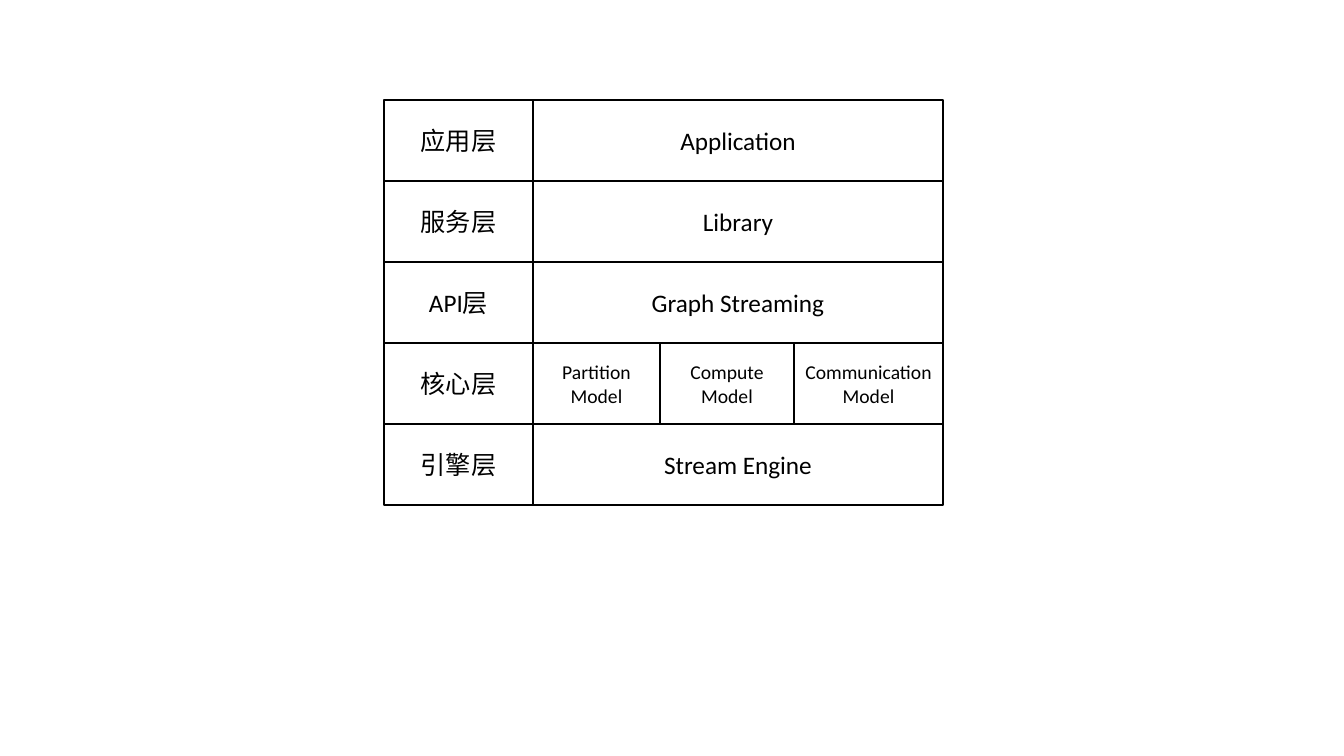
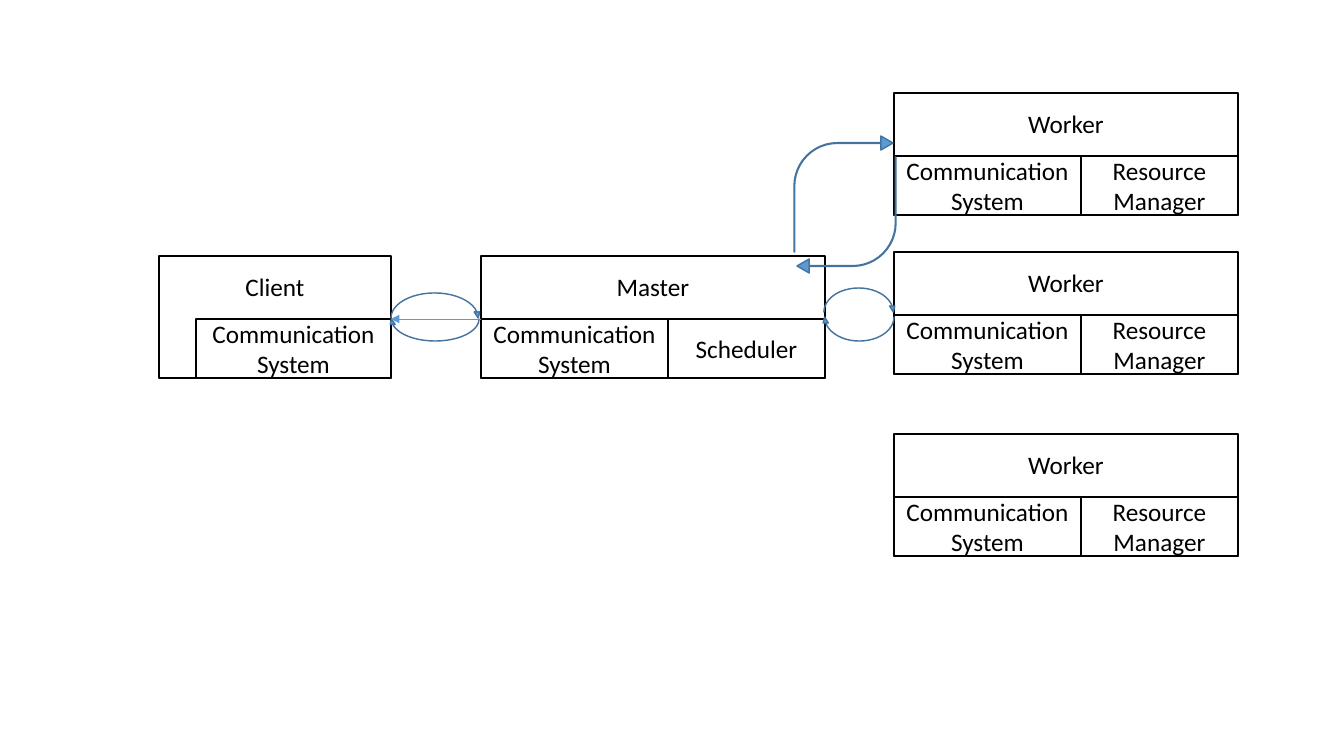
from pptx import Presentation
from pptx.dml.color import RGBColor
from pptx.enum.shapes import MSO_CONNECTOR, MSO_SHAPE
from pptx.enum.text import MSO_ANCHOR, PP_ALIGN
from pptx.oxml.ns import qn
from pptx.util import Pt
from lxml.etree import SubElement

PX = 914400 / 100.8
FONT = "Calibri"
COLORS = {"box": "FFFFFF", "ink": "000000", "arrow": "5B9BD5", "arrow_edge": "43739E"}


def add_shape(slide, kind, box, fill, line):
    sp = slide.shapes.add_shape(kind, *[round(v * PX) for v in box])
    sp.shadow.inherit = False
    sp.fill.solid()
    sp.fill.fore_color.rgb = RGBColor.from_string(COLORS[fill])
    sp.line.color.rgb = RGBColor.from_string(COLORS[line])
    sp.line.width = Pt(1)
    return sp


def add_box(slide, box, lines, size=18, top=None):
    sp = add_shape(slide, MSO_SHAPE.RECTANGLE, box, "box", "ink")
    tf = sp.text_frame
    tf.word_wrap = True
    tf.vertical_anchor = MSO_ANCHOR.MIDDLE
    if top is not None:
        tf.vertical_anchor = MSO_ANCHOR.TOP
        tf.margin_top = round(top * PX)
    for i, line in enumerate(lines):
        p = tf.paragraphs[0] if i == 0 else tf.add_paragraph()
        p.alignment = PP_ALIGN.CENTER
        r = p.add_run()
        r.text = line
        r.font.name = FONT
        r.font.size = Pt(size)
        r.font.color.rgb = RGBColor.from_string(COLORS["ink"])


prs = Presentation()
prs.slide_width = round(1344 * PX)
prs.slide_height = round(756 * PX)
blank = prs.slide_layouts[6]

slide = prs.slides.add_slide(blank)
LEFT, TOP, ROW_H, LABEL_W, BODY_W = 384, 100, 81, 149, 410
layers = [
    ("应用层", [("Application", BODY_W)], 18),
    ("服务层", [("Library", BODY_W)], 18),
    ("API层", [("Graph Streaming", BODY_W)], 18),
    ("核心层", [("Partition Model", 127), ("Compute Model", 134), ("Communication Model", 149)], 14),
    ("引擎层", [("Stream Engine", BODY_W)], 18),
]
for row, (label, cells, size) in enumerate(layers):
    y = TOP + row * ROW_H
    add_box(slide, (LEFT, y, LABEL_W, ROW_H), [label])
    x = LEFT + LABEL_W
    for text, w in cells:
        add_box(slide, (x, y, w, ROW_H), [text], size)
        x += w

slide = prs.slides.add_slide(blank)
NODE_H, HEAD_H, COMM_W, SIDE_W = 122, 63, 187, 157
PART_H = NODE_H - HEAD_H
comm = ["Communication System"]
manager = ["Resource", "Manager"]
node_w = COMM_W + SIDE_W
nodes = [
    ("Client", 159, 256, 232, [(37, 195, comm)]),
    ("Master", 481, 256, node_w, [(0, COMM_W, comm), (COMM_W, SIDE_W, ["Scheduler"])]),
]
for y in (93, 252, 434):
    nodes.append(("Worker", 894, y, node_w, [(0, COMM_W, comm), (COMM_W, SIDE_W, manager)]))
for name, x, y, w, parts in nodes:
    add_box(slide, (x, y, w, NODE_H), [name], top=15)
    for dx, part_w, lines in parts:
        add_box(slide, (x + dx, y + HEAD_H, part_w, PART_H), lines)

curved, bent = MSO_SHAPE.CURVED_DOWN_ARROW, MSO_SHAPE.BENT_ARROW
client_adj, worker_adj = (0, 0.22, 0.24), (0, 0.22, 0.25)
bent_adj = (0.007, 0.071, 0.123, 0.438)
arrows = [
    (curved, (391, 293, 90, 25), 0, client_adj),
    (curved, (389, 319, 90, 22), 180, client_adj),
    (bent, (794, 136, 99, 116), 0, bent_adj),
    (curved, (824, 288, 72, 24), 0, worker_adj),
    (curved, (822, 317, 72, 24), 180, worker_adj),
    (bent, (797, 157, 99, 116), 180, bent_adj),
]
for kind, box, rotation, adjustments in arrows:
    sp = add_shape(slide, kind, box, "arrow", "arrow_edge")
    sp.rotation = rotation
    for i, value in enumerate(adjustments):
        sp.adjustments[i] = value

link = slide.shapes.add_connector(
    MSO_CONNECTOR.STRAIGHT, *[round(v * PX) for v in (481, 319, 391, 319)])
link.line.color.rgb = RGBColor.from_string(COLORS["arrow"])
link.line.width = Pt(0.5)
SubElement(link._element.spPr.find(qn("a:ln")), qn("a:tailEnd"), type="triangle")
SubElement(link._element.spPr, qn("a:effectLst"))

prs.save("out.pptx")
